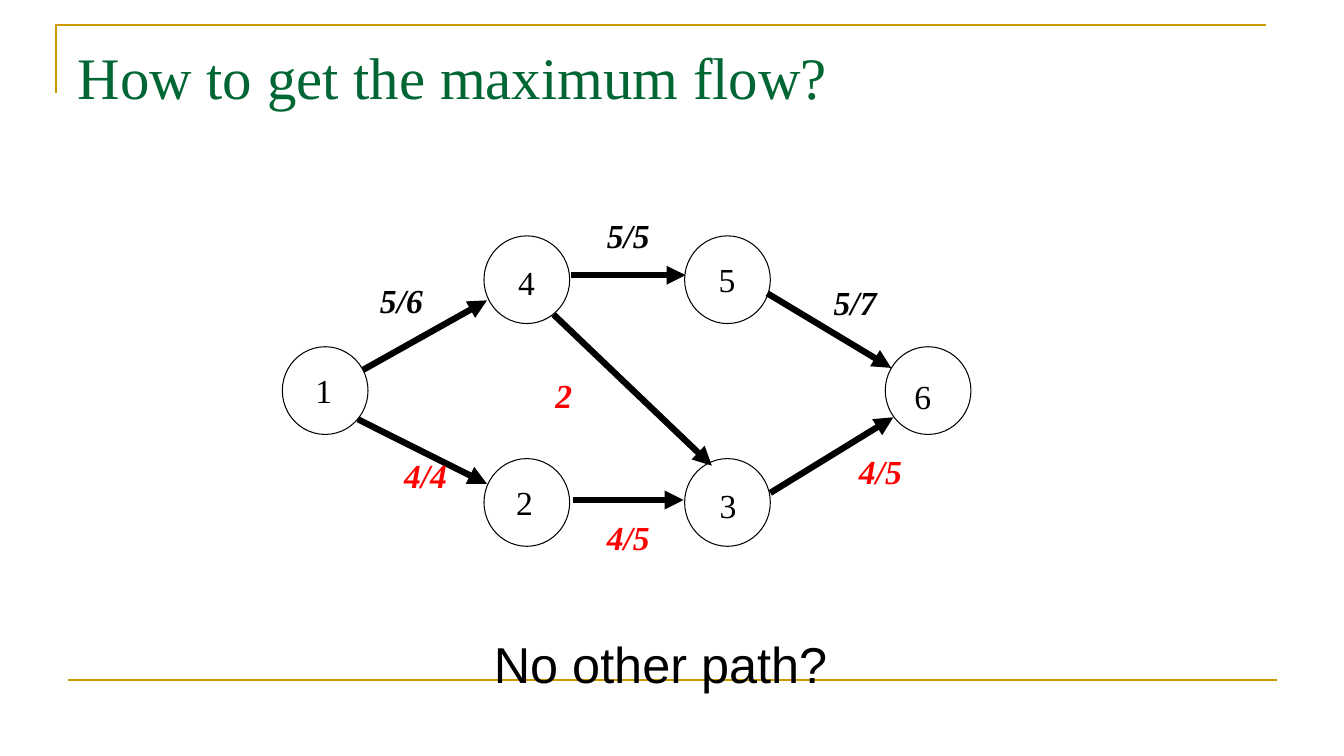
import pptx
import pptx.util
import pptx.dml.color
import pptx.enum.shapes
import pptx.enum.text
import pptx.oxml.ns
from lxml import etree

PX = 9144
GOLD, GREEN, BLACK, RED = "CC9900", "006633", "000000", "FF0000"
SERIF, SANS = "Times New Roman", "Arial"

TITLE = "How to get the maximum flow?"
QUESTION = "No other path?"
COLUMNS = (280, 480, 679, 878)
ROWS = (234, 344, 455)
NODE_W, NODE_H = 85, 87
NODES = [
    ("1", 0, 1, 303, 362),
    ("4", 1, 0, 504, 255),
    ("5", 2, 0, 703, 252),
    ("2", 1, 2, 502, 473),
    ("3", 2, 2, 704, 476),
    ("6", 3, 1, 897, 368),
]
EDGES = [
    (360, 367, 483, 298),
    (355, 416, 483, 480),
    (566, 273, 680, 273),
    (761, 291, 884, 365),
    (764, 489, 886, 414),
    (549, 312, 706, 462),
    (568, 496, 678, 496),
]
FLOWS = [
    ("2", 541, 367, 79, RED),
    ("4/5", 842, 442, 69, RED),
    ("4/5", 592, 508, 67, RED),
    ("4/4", 391, 446, 63, RED),
    ("5/7", 817, 275, 83, BLACK),
    ("5/5", 592, 208, 67, BLACK),
    ("5/6", 367, 273, 72, BLACK),
]


def px(*lengths):
    return [pptx.util.Emu(n * PX) for n in lengths]


def rgb(color):
    return pptx.dml.color.RGBColor.from_string(color)


def outline(sp, color, width):
    sp.line.color.rgb = rgb(color)
    sp.line.width = pptx.util.Pt(width)


def style(p, size, font, color, strong=False):
    for r in p.runs:
        r.font.size = pptx.util.Pt(size)
        r.font.name = font
        r.font.color.rgb = rgb(color)
        r.font.bold = strong
        r.font.italic = strong


def add_line(s, ends, color, width, arrow=False):
    sp = s.shapes.add_connector(pptx.enum.shapes.MSO_CONNECTOR.STRAIGHT, *px(*ends))
    outline(sp, color, width)
    if arrow:
        etree.SubElement(sp.line._get_or_add_ln(), pptx.oxml.ns.qn("a:tailEnd"), type="triangle")
    etree.SubElement(sp._element.spPr, pptx.oxml.ns.qn("a:effectLst"))


def add_text(s, text, box, size, font, color, strong=False, wrap=True):
    sp = s.shapes.add_textbox(*px(*box))
    tf = sp.text_frame
    tf.word_wrap = wrap
    tf.auto_size = pptx.enum.text.MSO_AUTO_SIZE.SHAPE_TO_FIT_TEXT
    tf.text = text
    style(tf.paragraphs[0], size, font, color, strong)


def add_frame(s):
    (x, y), corner, end = px(56, 92), px(56, 25), px(1256, 25)
    builder = s.shapes.build_freeform(x, y)
    builder.add_line_segments([corner, end], close=False)
    sp = builder.convert_to_shape()
    sp.shadow.inherit = False
    sp.fill.background()
    outline(sp, GOLD, 1.5)
    add_line(s, (67, 675, 1267, 675), GOLD, 1.5)


def add_title(s):
    sp = s.shapes.title
    sp.left, sp.top, sp.width, sp.height = px(67, 30, 1200, 125)
    tf = sp.text_frame
    tf.text = TITLE
    tf.word_wrap = True
    tf.vertical_anchor = pptx.enum.text.MSO_ANCHOR.TOP
    tf.margin_top, = px(10)
    p = tf.paragraphs[0]
    p.alignment = pptx.enum.text.PP_ALIGN.LEFT
    style(p, 42, SERIF, GREEN)


def add_node(s, col, row):
    box = px(COLUMNS[col], ROWS[row], NODE_W, NODE_H)
    sp = s.shapes.add_shape(pptx.enum.shapes.MSO_SHAPE.OVAL, *box)
    sp.shadow.inherit = False
    sp.fill.background()
    outline(sp, BLACK, 0.75)


def main():
    prs = pptx.Presentation()
    prs.slide_width, prs.slide_height = px(1333, 750)
    s = prs.slides.add_slide(prs.slide_layouts[5])
    add_frame(s)
    add_title(s)
    for name, col, row, x, y in NODES:
        add_node(s, col, row)
        add_text(s, name, (x, y, 84, 50), 24, SERIF, BLACK)
    for ends in EDGES:
        add_line(s, ends, BLACK, 4.5, arrow=True)
    for flow, x, y, width, color in FLOWS:
        add_text(s, flow, (x, y, width, 50), 24, SERIF, color, strong=True)
    add_text(s, QUESTION, (480, 623, 354, 71), 36, SANS, BLACK, wrap=False)
    prs.save("out.pptx")


if __name__ == "__main__":
    main()
